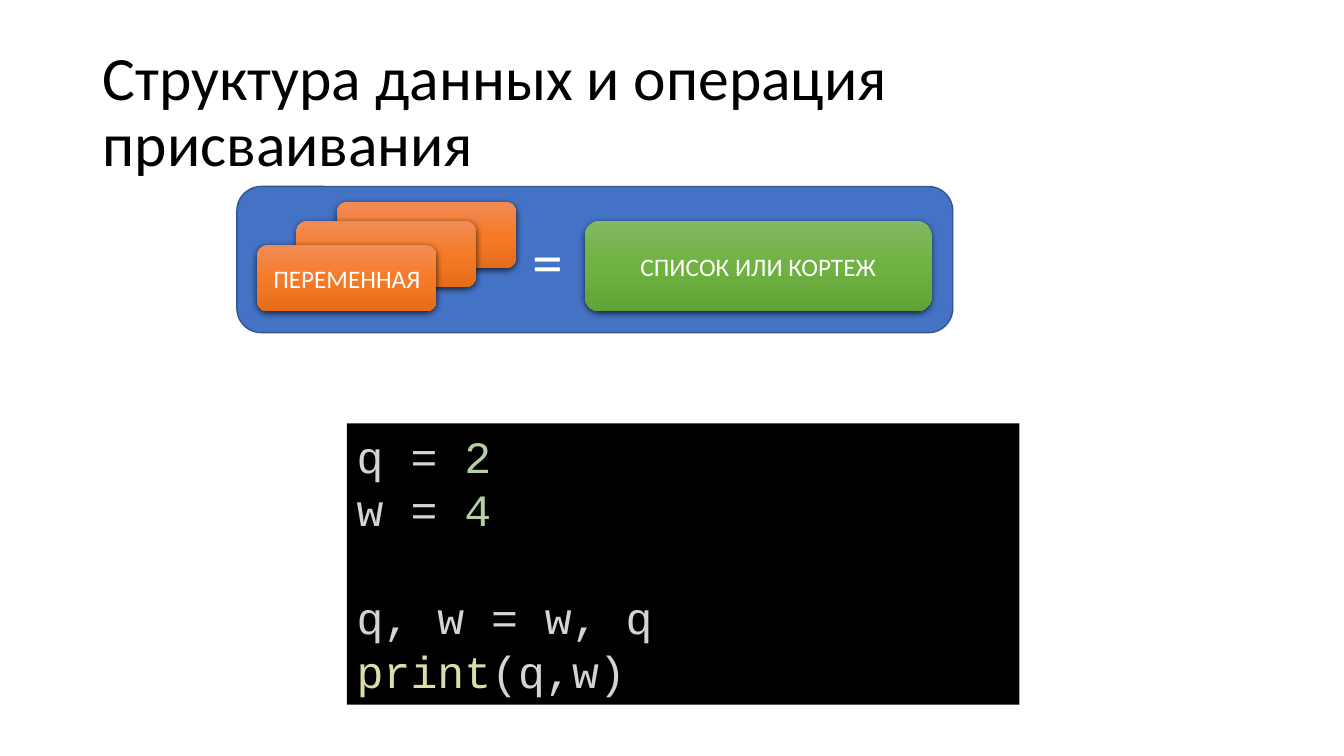
import copy
from dataclasses import dataclass

import pptx
import pptx.dml.color
import pptx.enum.shapes
import pptx.enum.text
import pptx.oxml
import pptx.oxml.ns
import pptx.util
from pptx.util import Inches

SHAPE = pptx.enum.shapes.MSO_SHAPE
ALIGN = pptx.enum.text.PP_ALIGN
ANCHOR = pptx.enum.text.MSO_ANCHOR
AUTO_SIZE = pptx.enum.text.MSO_AUTO_SIZE


@dataclass(frozen=True)
class Theme:
    # Colours
    title: str = "000000"
    panel: str = "4472C4"
    panel_line: str = "325491"
    label: str = "FFFFFF"
    orange: tuple = ("F18C57", "F67B28", "E56C19")
    green: tuple = ("81B861", "6FB242", "62A336")
    code_back: str = "000000"
    code: str = "D4D4D4"
    number: str = "B5CEA8"
    function: str = "DCDCAA"
    # Fonts and sizes
    font: str = "Calibri"
    code_font: str = "Courier New"
    title_size: int = 44
    label_size: int = 18
    code_size: int = 32


def rgb(value):
    return pptx.dml.color.RGBColor.from_string(value)


class SlideBuilder:
    def __init__(self, slide, theme):
        self.slide = slide
        self.theme = theme

    def add_run(self, paragraph, text, size, color, font=None):
        run = paragraph.add_run()
        run.text = text
        run.font.name = font or self.theme.font
        run.font.size = pptx.util.Pt(size)
        run.font.color.rgb = rgb(color)

    def title(self, text, left, top, width, height):
        heading = self.slide.shapes.title
        heading.left, heading.top = Inches(left), Inches(top)
        heading.width, heading.height = Inches(width), Inches(height)
        frame = heading.text_frame
        frame.auto_size = AUTO_SIZE.NONE
        frame.word_wrap = True
        frame.vertical_anchor = ANCHOR.MIDDLE
        paragraph = frame.paragraphs[0]
        paragraph.alignment = ALIGN.LEFT
        paragraph.line_spacing = 0.9
        self.add_run(paragraph, text, self.theme.title_size, self.theme.title)

    def box(self, kind, left, top, width, height, fill=None, line=None):
        box = self.slide.shapes.add_shape(
            kind, Inches(left), Inches(top), Inches(width), Inches(height))
        box.shadow.inherit = False
        if fill:
            box.fill.solid()
            box.fill.fore_color.rgb = rgb(fill)
        if line:
            box.line.color.rgb = rgb(line)
            box.line.width = pptx.util.Pt(1)
        else:
            box.line.fill.background()
        box.text_frame.word_wrap = True
        return box

    def panel(self, sign, sign_indent, *bounds):
        panel = self.box(SHAPE.ROUNDED_RECTANGLE, *bounds,
                         fill=self.theme.panel, line=self.theme.panel_line)
        frame = panel.text_frame
        frame.margin_left = Inches(sign_indent)
        frame.vertical_anchor = ANCHOR.MIDDLE
        frame.paragraphs[0].alignment = ALIGN.LEFT
        self.add_run(frame.paragraphs[0], sign, self.theme.title_size, self.theme.label)

    def card(self, colors, *bounds, label=None):
        card = self.box(SHAPE.ROUNDED_RECTANGLE, *bounds)
        properties = card._element.spPr
        # Three-stop gradient from top to bottom
        card.fill.gradient()
        card.fill.gradient_angle = 270
        stop_list = properties.find(".//" + pptx.oxml.ns.qn("a:gsLst"))
        stop_list.append(copy.deepcopy(stop_list[-1]))
        for index, (stop, color) in enumerate(zip(card.fill.gradient_stops, colors)):
            stop.position = index / 2
            stop.color.rgb = rgb(color)
        # Soft shadow below
        properties.find(pptx.oxml.ns.qn("a:effectLst")).append(pptx.oxml.parse_xml(
            f'<a:outerShdw {pptx.oxml.ns.nsdecls("a")} blurRad="57150" dist="19050" '
            'dir="5400000" algn="ctr" rotWithShape="0"><a:srgbClr val="000000">'
            '<a:alpha val="63000"/></a:srgbClr></a:outerShdw>'))
        if label:
            frame = card.text_frame
            frame.margin_left = frame.margin_right = Inches(0.05)
            frame.vertical_anchor = ANCHOR.MIDDLE
            frame.paragraphs[0].alignment = ALIGN.CENTER
            self.add_run(frame.paragraphs[0], label, self.theme.label_size, self.theme.label)

    def code(self, lines, *bounds):
        listing = self.box(SHAPE.RECTANGLE, *bounds, fill=self.theme.code_back)
        frame = listing.text_frame
        frame.auto_size = AUTO_SIZE.SHAPE_TO_FIT_TEXT
        frame.vertical_anchor = ANCHOR.TOP
        for index, (break_before, tokens) in enumerate(lines):
            paragraph = frame.add_paragraph() if index else frame.paragraphs[0]
            paragraph.alignment = ALIGN.LEFT
            if break_before:
                paragraph.add_line_break()
                line_break = paragraph._p.find(pptx.oxml.ns.qn("a:br"))
                line_break.append(pptx.oxml.parse_xml(
                    f'<a:rPr {pptx.oxml.ns.nsdecls("a")} sz="{self.theme.code_size * 100}">'
                    f'<a:latin typeface="{self.theme.code_font}"/></a:rPr>'))
            for text, color in tokens:
                self.add_run(paragraph, text, self.theme.code_size, color,
                             self.theme.code_font)


def main():
    deck = pptx.Presentation()
    deck.slide_width, deck.slide_height = Inches(13.33), Inches(7.5)
    theme = Theme()
    builder = SlideBuilder(deck.slides.add_slide(deck.slide_layouts[5]), theme)

    builder.title("Структура данных и операция присваивания", 0.92, 0.4, 11.5, 1.45)

    # Assignment scheme: stacked variables = list or tuple
    builder.panel("=", 2.86, 2.35, 1.85, 7.1, 1.45)
    for left, top, label in ((3.34, 2, None), (2.94, 2.19, None),
                             (2.55, 2.43, "ПЕРЕМЕННАЯ")):
        builder.card(theme.orange, left, top, 1.78, 0.66, label=label)
    builder.card(theme.green, 5.8, 2.19, 3.44, 0.9, label="СПИСОК ИЛИ КОРТЕЖ")

    # Swap example: (line break before, coloured tokens)
    builder.code([
        (False, [("q = ", theme.code), ("2", theme.number)]),
        (False, [("w = ", theme.code), ("4", theme.number)]),
        (True, [("q, w = w, q", theme.code)]),
        (False, [("print", theme.function), ("(q,w)", theme.code)]),
    ], 3.44, 4.2, 6.67, 2.79)

    deck.save("out.pptx")


if __name__ == "__main__":
    main()
